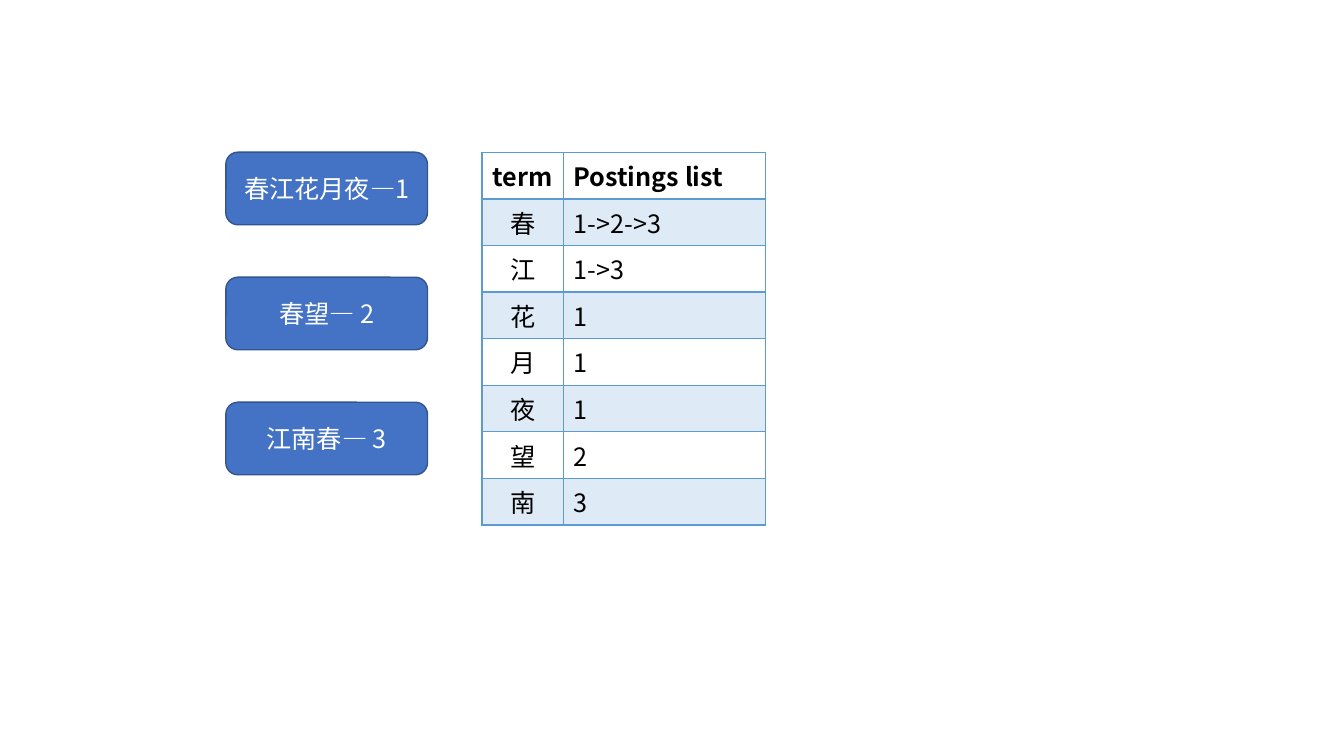
import pptx
import pptx.dml.color
import pptx.enum.shapes
import pptx.enum.text
import pptx.oxml
import pptx.oxml.ns
import pptx.util
from lxml import etree

PX = 9144  # 100 px to the inch
COLORS = {
    "box": "4472C4",
    "box_line": "325491",
    "grid": "5B9BD5",
    "light": "FFFFFF",
    "dark": "000000",
}
ALIGN = pptx.enum.text.PP_ALIGN
QN = pptx.oxml.ns.qn


def rgb(name):
    return pptx.dml.color.RGBColor.from_string(COLORS[name])


def write(frame, text, *, color, size=18, bold=False, align=ALIGN.LEFT,
          font="Noto Sans CJK SC"):
    para = frame.paragraphs[0]
    para.alignment = align
    span = para.add_run()
    span.text = text
    span.font.size = pptx.util.Pt(size)
    span.font.bold = bold
    span.font.color.rgb = rgb(color)
    span.font.name = font
    props = span.font._element
    props.set("lang", "zh-CN")
    etree.SubElement(props, QN("a:ea")).set("typeface", font)


class Page:
    def __init__(self, deck):
        self.slide = deck.slides.add_slide(deck.slide_layouts[6])

    def box(self, text, left, top, width, height):
        shape = self.slide.shapes.add_shape(
            pptx.enum.shapes.MSO_SHAPE.ROUNDED_RECTANGLE,
            *(value * PX for value in (left, top, width, height)))
        shape.shadow.inherit = False
        shape.fill.solid()
        shape.fill.fore_color.rgb = rgb("box")
        shape.line.color.rgb = rgb("box_line")
        shape.line.width = pptx.util.Pt(1)
        shape.text_frame.word_wrap = True
        shape.text_frame.vertical_anchor = pptx.enum.text.MSO_ANCHOR.MIDDLE
        write(shape.text_frame, text, color="light", align=ALIGN.CENTER)

    def table(self, rows, left, top, widths, row_height):
        table = self.slide.shapes.add_table(
            len(rows), len(widths), left * PX, top * PX,
            sum(widths) * PX, len(rows) * row_height * PX).table
        for column, width in zip(table.columns, widths):
            column.width = width * PX
        for r, row in enumerate(rows):
            table.rows[r].height = row_height * PX
            for c, text in enumerate(row):
                cell = table.cell(r, c)
                write(cell.text_frame, text, color="dark", bold=r == 0,
                      align=ALIGN.LEFT if c else ALIGN.CENTER)
                self.shade(cell, banded=r % 2 == 1)
                self.borders(cell, bottom=2 if r == 0 else 1,
                             top=2 if r == 1 else 1)

    def shade(self, cell, banded):
        if not banded:
            cell.fill.background()
            return
        cell.fill.solid()
        cell.fill.fore_color.rgb = rgb("grid")
        tint = cell._tc.tcPr.find(".//" + QN("a:srgbClr"))
        etree.SubElement(tint, QN("a:alpha")).set("val", "20000")

    def borders(self, cell, top, bottom):
        sides = {"L": 1, "R": 1, "T": top, "B": bottom}
        for index, (side, points) in enumerate(sides.items()):
            line = pptx.oxml.parse_xml(
                f'<a:ln{side} {pptx.oxml.ns.nsdecls("a")} '
                f'w="{pptx.util.Pt(points)}"><a:solidFill>'
                f'<a:srgbClr val="{COLORS["grid"]}"/>'
                f'</a:solidFill></a:ln{side}>')
            cell._tc.tcPr.insert(index, line)


def main():
    deck = pptx.Presentation()
    deck.slide_width = pptx.util.Inches(13.33)
    deck.slide_height = pptx.util.Inches(7.5)
    page = Page(deck)

    # Documents with their numbers
    for index, poem in enumerate(["春江花月夜—1", "春望— 2", "江南春— 3"]):
        page.box(poem, 224, 151 + index * 124, 200, 72)

    # Inverted index
    postings = [
        ("term", "Postings list"),
        ("春", "1->2->3"),
        ("江", "1->3"),
        ("花", "1"),
        ("月", "1"),
        ("夜", "1"),
        ("望", "2"),
        ("南", "3"),
    ]
    page.table(postings, 478, 151, [81, 200], 37)

    deck.save("out.pptx")


if __name__ == "__main__":
    main()
